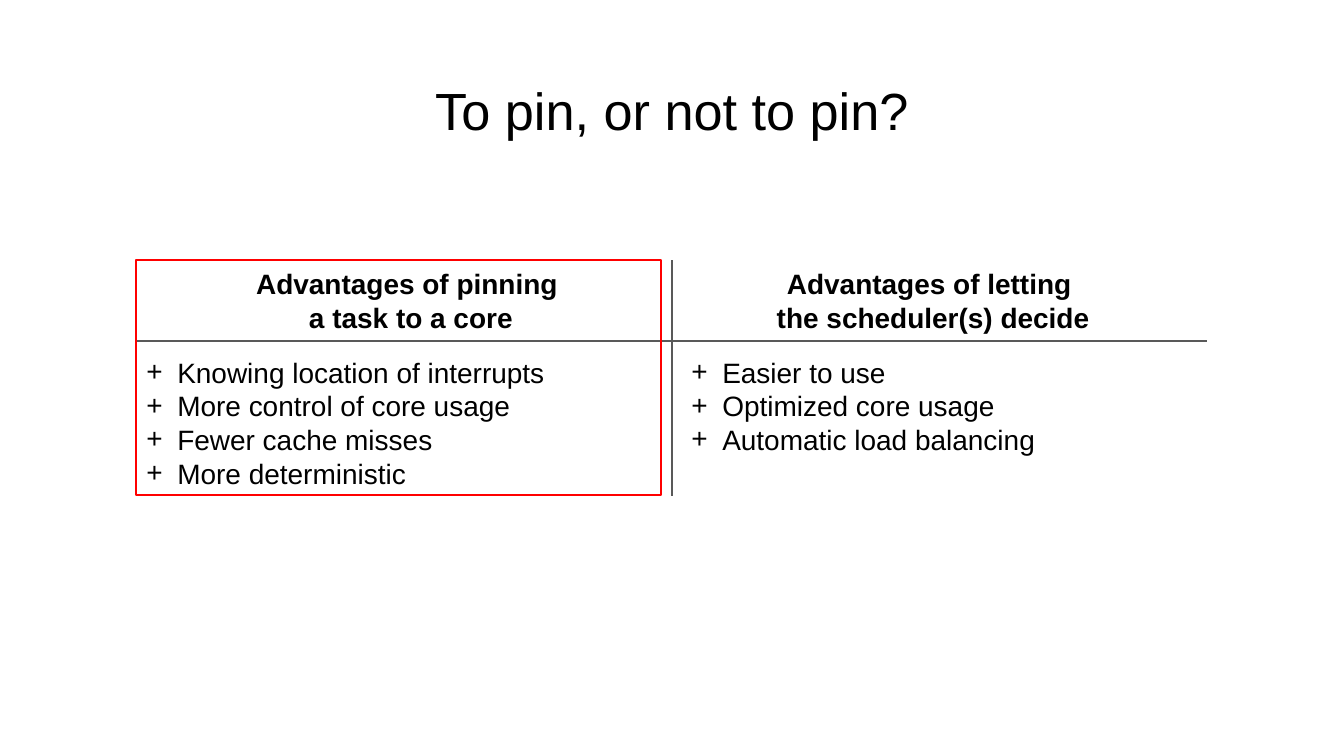
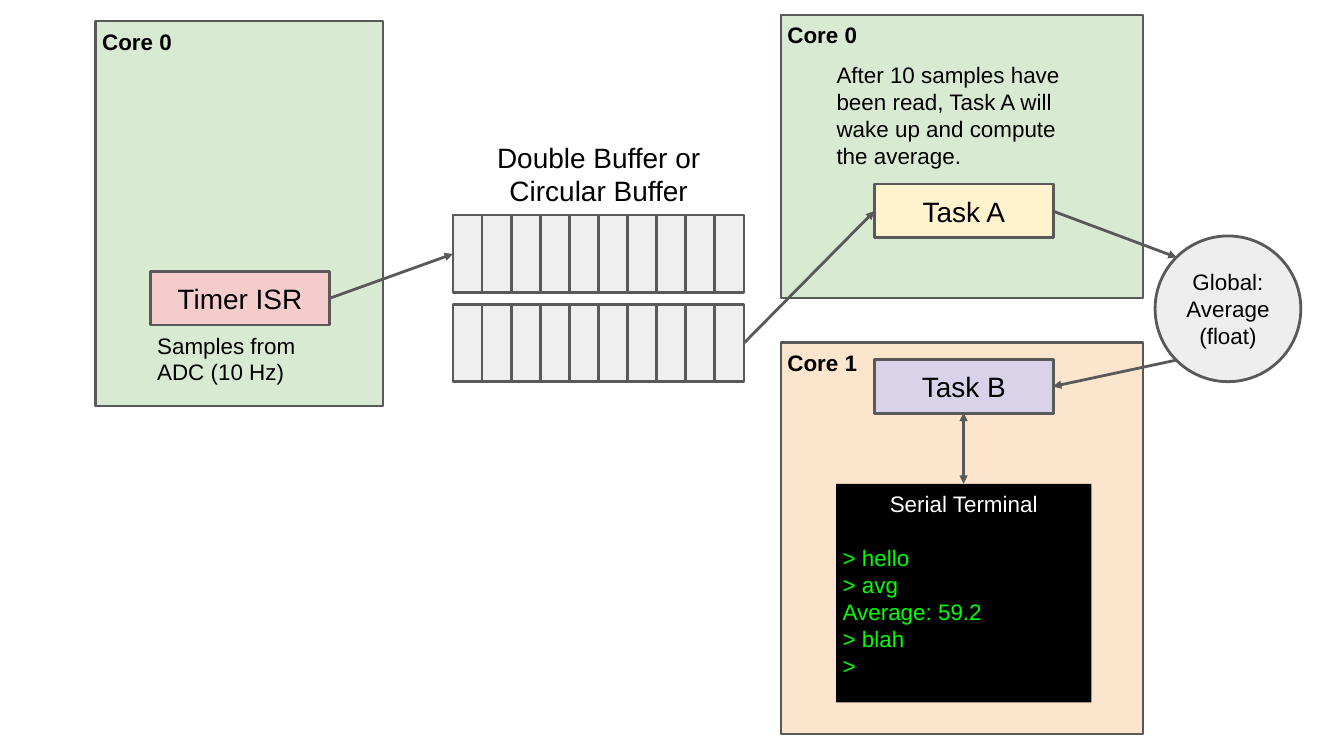
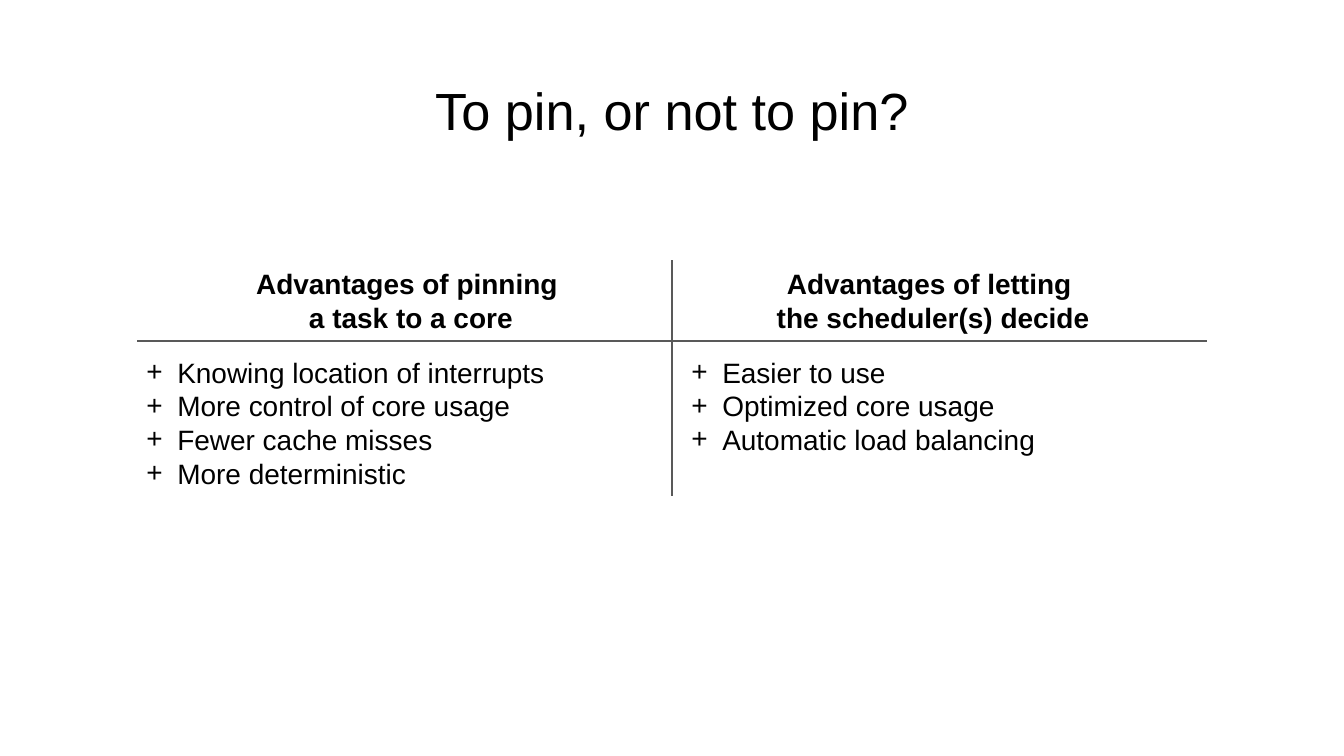
import pptx
import pptx.dml.color
import pptx.enum.shapes
import pptx.enum.text
import pptx.oxml
import pptx.oxml.ns
import pptx.util
from pptx.util import Cm, Pt

RGBColor = pptx.dml.color.RGBColor
Align = pptx.enum.text.PP_ALIGN
Anchor = pptx.enum.text.MSO_ANCHOR
Preset = pptx.enum.shapes.MSO_SHAPE

BLACK = RGBColor(0x00, 0x00, 0x00)
WHITE = RGBColor(0xFF, 0xFF, 0xFF)
GRAY = RGBColor(0x59, 0x59, 0x59)
LIGHT_GRAY = RGBColor(0xEF, 0xEF, 0xEF)
GLOBAL_GRAY = RGBColor(0xEE, 0xEE, 0xEE)
RED = RGBColor(0xFF, 0x00, 0x00)
GREEN = RGBColor(0xD9, 0xEA, 0xD3)
ORANGE = RGBColor(0xFC, 0xE5, 0xCD)
YELLOW = RGBColor(0xFF, 0xF2, 0xCC)
PURPLE = RGBColor(0xD9, 0xD2, 0xE9)
PINK = RGBColor(0xF4, 0xCC, 0xCC)
TERMINAL_GREEN = RGBColor(0x00, 0xFF, 0x00)

FONT = "Arial"
TITLE_SIZE, LARGE, SMALL = 56, 30, 24
THIN, THICK = 2.25, 3

COMPARISON_LAYOUT, BLANK_LAYOUT = 4, 6
TABLE_TOP, TABLE_BOTTOM, TABLE_RULE = 9.83, 18.75, 12.9
TABLE_LEFT, TABLE_MIDDLE, TABLE_RIGHT = 5.18, 25.4, 45.62

PINNING = ["Knowing location of interrupts", "More control of core usage",
           "Fewer cache misses", "More deterministic"]
SCHEDULER = ["Easier to use", "Optimized core usage", "Automatic load balancing"]


def write(shape, lines, size, align=Align.LEFT, anchor=Anchor.TOP, bold=False,
          color=BLACK, margin=0.25):
    frame = shape.text_frame
    frame.text = "\n".join(lines)
    frame.word_wrap = True
    frame.auto_size = pptx.enum.text.MSO_AUTO_SIZE.NONE
    frame.vertical_anchor = anchor
    frame.margin_left = frame.margin_right = Cm(margin)
    frame.margin_top = frame.margin_bottom = Cm(margin)
    for paragraph in frame.paragraphs:
        paragraph.alignment = align
        paragraph.space_before = Pt(0)
        for run in paragraph.runs:
            run.font.name = FONT
            run.font.size = Pt(size)
            run.font.bold = bold
            run.font.color.rgb = color


def place(shape, left, top, width, height):
    shape.left, shape.top = Cm(left), Cm(top)
    shape.width, shape.height = Cm(width), Cm(height)


def add_bullets(shape, character):
    for paragraph in shape.text_frame.paragraphs:
        properties = paragraph._p.get_or_add_pPr()
        properties.set("marL", str(Cm(1.27)))
        properties.set("indent", str(Cm(-1.17)))
        namespace = pptx.oxml.ns.nsdecls("a")
        for bullet in (f'<a:buFont {namespace} typeface="{FONT}"/>',
                       f'<a:buChar {namespace} char="{character}"/>'):
            properties.append(pptx.oxml.parse_xml(bullet))


def add_box(slide, left, top, width, height, fill=None, line=GRAY, weight=THICK,
            preset=Preset.RECTANGLE):
    shape = slide.shapes.add_shape(preset, Cm(left), Cm(top), Cm(width), Cm(height))
    shape.shadow.inherit = False
    if fill is None:
        shape.fill.background()
    else:
        shape.fill.solid()
        shape.fill.fore_color.rgb = fill
    if line is None:
        shape.line.fill.background()
    else:
        shape.line.color.rgb = line
        shape.line.width = Pt(weight)
    return shape


def add_core(slide, name, left, top, width, height, fill):
    core = add_box(slide, left, top, width, height, fill, weight=THIN)
    write(core, [name], SMALL, bold=True)


def add_task(slide, name, left, top, fill):
    task = add_box(slide, left, top, 6.76, 2.03, fill)
    write(task, [name], LARGE, Align.CENTER, Anchor.MIDDLE)


def add_label(slide, text, left, top, width, height, size, align=Align.LEFT):
    label = slide.shapes.add_textbox(Cm(left), Cm(top), Cm(width), Cm(height))
    write(label, [text], size, align)


def add_line(slide, start, end, weight=THICK, arrow_ends=()):
    """Draw a line; arrow_ends may hold headEnd (start) and tailEnd (end)."""
    connector = slide.shapes.add_connector(
        pptx.enum.shapes.MSO_CONNECTOR.STRAIGHT,
        Cm(start[0]), Cm(start[1]), Cm(end[0]), Cm(end[1]))
    connector.line.color.rgb = GRAY
    connector.line.width = Pt(weight)
    namespace = pptx.oxml.ns.nsdecls("a")
    for arrow_end in arrow_ends:
        connector.line._get_or_add_ln().append(pptx.oxml.parse_xml(
            f'<a:{arrow_end} {namespace} type="triangle"/>'))
    connector._element.spPr.append(pptx.oxml.parse_xml(f"<a:effectLst {namespace}/>"))


def add_buffer(slide, top, cells=10, left=17.12, cell_width=1.1, height=2.92):
    for index in range(cells):
        add_box(slide, left + index * cell_width, top, cell_width, height, LIGHT_GRAY)


def add_terminal(slide):
    terminal = add_box(slide, 31.6, 18.29, 9.65, 8.26, BLACK, line=None)
    write(terminal, ["Serial Terminal", "> hello", "> avg", "Average: 59.2",
                     "> blah", ">"], SMALL, color=TERMINAL_GREEN)
    heading = terminal.text_frame.paragraphs[0]
    heading.alignment = Align.CENTER
    heading.space_after = Pt(28.8)
    heading.runs[0].font.color.rgb = WHITE


def add_comparison_slide(presentation, highlight_pinning=False):
    slide = presentation.slides.add_slide(presentation.slide_layouts[COMPARISON_LAYOUT])
    title, left_heading, left_list, right_heading, right_list = slide.placeholders
    place(title, 1.73, 2.46, 47.35, 3.18)
    write(title, ["To pin, or not to pin?"], TITLE_SIZE, Align.CENTER, margin=0.51)

    add_line(slide, (TABLE_LEFT, TABLE_RULE), (TABLE_RIGHT, TABLE_RULE), THIN)
    add_line(slide, (TABLE_MIDDLE, TABLE_TOP), (TABLE_MIDDLE, TABLE_BOTTOM), THIN)

    for heading, left, lines in (
            (left_heading, 5.66, ["Advantages of pinning ", "a task to a core"]),
            (right_heading, TABLE_MIDDLE,
             ["Advantages of letting ", "the scheduler(s) decide"])):
        place(heading, left, TABLE_TOP, 19.74, 3.05)
        write(heading, lines, LARGE, Align.CENTER, bold=True)

    for body, left, height, lines in ((left_list, TABLE_LEFT, 5.59, PINNING),
                                      (right_list, 25.78, 4.32, SCHEDULER)):
        place(body, left, 13.18, 19.84, height)
        write(body, lines, LARGE)
        add_bullets(body, "+")

    if highlight_pinning:
        add_box(slide, 5.13, TABLE_TOP, 19.84, 8.89, line=RED, weight=THIN)


def add_diagram_slide(presentation):
    slide = presentation.slides.add_slide(presentation.slide_layouts[BLANK_LAYOUT])
    add_core(slide, "Core 0", 3.61, 0.81, 10.87, 14.55, GREEN)
    add_core(slide, "Core 0", 29.51, 0.56, 13.69, 10.72, GREEN)
    add_core(slide, "Core 1", 29.51, 12.95, 13.69, 14.81, ORANGE)

    add_task(slide, "Task A", 33.05, 6.96, YELLOW)
    add_task(slide, "Task B", 33.05, 13.59, PURPLE)
    add_task(slide, "Timer ISR", 5.69, 10.26, PINK)

    add_buffer(slide, 8.13)
    add_buffer(slide, 11.51)
    add_terminal(slide)
    average = add_box(slide, 43.66, 8.92, 5.51, 5.51, GLOBAL_GRAY, preset=Preset.OVAL)
    write(average, ["Global:", "Average (float)"], SMALL, Align.CENTER, Anchor.MIDDLE)

    for start, end in (((12.45, 11.28), (17.12, 9.6)),
                       ((28.14, 12.95), (33.05, 7.98)),
                       ((39.8, 7.98), (44.48, 9.73)),
                       ((44.48, 13.61), (39.8, 14.61))):
        add_line(slide, start, end, arrow_ends=["tailEnd"])
    add_line(slide, (36.42, 15.6), (36.42, 18.29), arrow_ends=["headEnd", "tailEnd"])

    add_label(slide, "Double Buffer or Circular Buffer", 17.12, 5.05, 11.02, 3.05,
              LARGE, Align.CENTER)
    add_label(slide, "Samples from ADC (10 Hz)", 5.69, 12.29, 6.76, 2.54, SMALL)
    add_label(slide, "After 10 samples have been read, Task A will wake up and "
              "compute the average.", 31.37, 2.06, 10.11, 4.57, SMALL)


def main():
    presentation = pptx.Presentation()
    presentation.slide_width, presentation.slide_height = Cm(50.8), Cm(28.58)
    add_comparison_slide(presentation, highlight_pinning=True)
    add_diagram_slide(presentation)
    add_comparison_slide(presentation)
    presentation.save("out.pptx")


if __name__ == "__main__":
    main()
